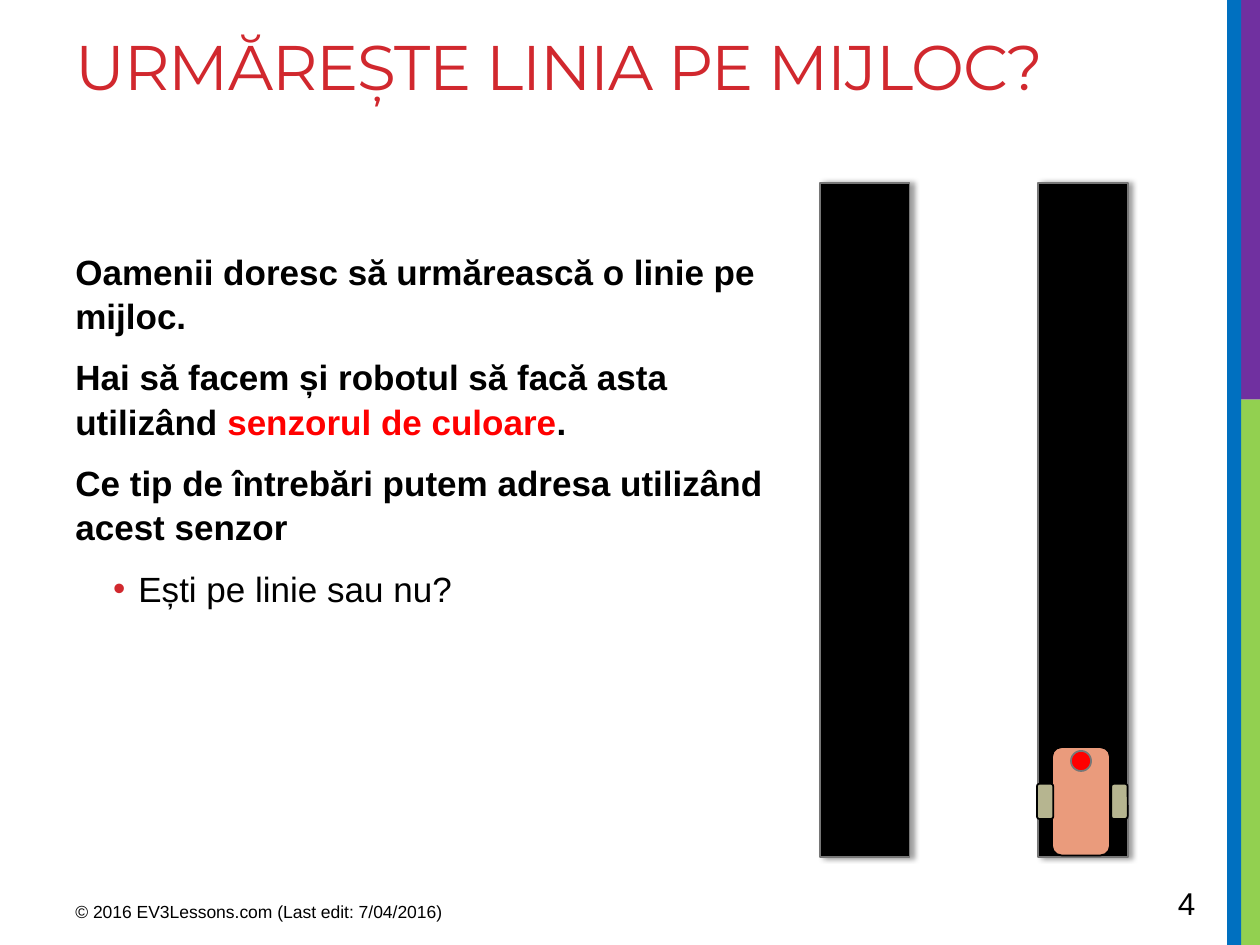
from dataclasses import dataclass
from typing import Optional

from lxml.etree import SubElement
from pptx import Presentation
from pptx.dml.color import RGBColor as RGB
from pptx.enum.shapes import MSO_SHAPE as Shape
from pptx.enum.text import MSO_ANCHOR as Anchor, MSO_AUTO_SIZE as AutoSize, PP_ALIGN as Align
from pptx.oxml.ns import qn
from pptx.util import Inches, Pt


@dataclass(frozen=True)
class Theme:
    title_font: str = "Montserrat"
    body_font: str = "Arial"
    title_size: int = 36
    body_size: int = 20
    number_size: int = 18
    footer_size: int = 10
    accent: str = "D1282E"
    black: str = "000000"
    red: str = "FF0000"
    gray: str = "777777"
    blue: str = "0070C0"
    green: str = "92D050"
    purple: str = "7030A0"
    robot: str = "EA9B7C"
    wheel: str = "B6B590"


THEME = Theme()


@dataclass(frozen=True)
class Block:
    left: float
    top: float
    width: float
    height: float
    fill: str
    line: Optional[str] = None
    kind: Shape = Shape.RECTANGLE
    shadow: bool = False


@dataclass(frozen=True)
class Run:
    text: str
    color: str = THEME.black
    bold: bool = True


@dataclass(frozen=True)
class Para:
    runs: tuple
    bullet: bool = False


EDGE_STRIPES = [
    Block(9.74, 0, 0.1, 7.5, THEME.blue),
    Block(9.84, 3.17, 0.16, 4.33, THEME.green),
    Block(9.8, 0, 0.2, 3.17, THEME.purple),
    Block(9.75, 0, 0.1, 7.5, THEME.blue),
]
TRACKS = [Block(x, 1.45, 0.71, 5.35, THEME.black, THEME.gray, shadow=True)
          for x in (6.51, 8.24)]
WHEELS = [Block(x, 6.22, 0.13, 0.28, THEME.wheel, THEME.black, Shape.ROUNDED_RECTANGLE)
          for x in (8.82, 8.23)]
ROBOT = [
    Block(8.35, 5.93, 0.46, 0.86, THEME.robot, THEME.black, Shape.ROUNDED_RECTANGLE),
    *WHEELS,
    Block(8.5, 5.96, 0.16, 0.16, THEME.red, THEME.gray, Shape.OVAL),
]
BODY = [
    Para((Run("Oamenii doresc să urmărească o linie pe mijloc."),)),
    Para((Run("Hai să facem și robotul să facă asta utilizând "),
          Run("senzorul de culoare", THEME.red), Run("."))),
    Para((Run("Ce tip de întrebări putem adresa utilizând acest senzor"),)),
    Para((Run("Ești pe linie sau nu?", bold=False),), bullet=True),
]


def set_all(obj, values: dict) -> None:
    for name, value in values.items():
        setattr(obj, name, value)


def place(sp, left: float, top: float, width: float, height: float) -> None:
    set_all(sp, {"left": Inches(left), "top": Inches(top),
                 "width": Inches(width), "height": Inches(height)})


def set_font(r, name: str, size: float, color: str, bold: bool = False) -> None:
    set_all(r.font, {"name": name, "size": Pt(size), "bold": bold})
    r.font.color.rgb = RGB.from_string(color)


def add_shadow(sp) -> None:
    """Give the shape a soft shadow cast to the right."""
    effects = sp._element.spPr.find(qn("a:effectLst"))
    outer = SubElement(effects, qn("a:outerShdw"), blurRad=str(Pt(3.1)),
                       dist=str(Pt(1.8)), dir="0", algn="ctr", rotWithShape="0")
    color = SubElement(outer, qn("a:srgbClr"), val=THEME.black)
    SubElement(color, qn("a:alpha"), val="40000")


def add_block(shapes, b: Block) -> None:
    sp = shapes.add_shape(b.kind, Inches(b.left), Inches(b.top),
                          Inches(b.width), Inches(b.height))
    sp.shadow.inherit = False
    sp.fill.solid()
    sp.fill.fore_color.rgb = RGB.from_string(b.fill)
    if b.line:
        sp.line.color.rgb = RGB.from_string(b.line)
        sp.line.width = Pt(1)
    else:
        sp.line.fill.background()
    if b.shadow:
        add_shadow(sp)


def add_text_box(slide, left: float, top: float, width: float, height: float):
    sp = slide.shapes.add_textbox(Inches(left), Inches(top), Inches(width), Inches(height))
    sp.text_frame.word_wrap = True
    return sp.text_frame


def add_label(slide, text: str, size: float, *box: float) -> None:
    r = add_text_box(slide, *box).paragraphs[0].add_run()
    r.text = text
    set_font(r, THEME.body_font, size, THEME.black)


def add_bullet(p) -> None:
    pPr = p._p.get_or_add_pPr()
    set_indent = {"marL": Inches(0.5), "indent": Inches(-0.2), "lvl": 1}
    for name, value in set_indent.items():
        pPr.set(name, str(value))
    color = SubElement(pPr, qn("a:buClr"))
    SubElement(color, qn("a:srgbClr"), val=THEME.accent)
    SubElement(pPr, qn("a:buFont"), typeface=THEME.body_font)
    SubElement(pPr, qn("a:buChar"), char="•")


def add_title(slide, text: str) -> None:
    sp = slide.shapes.title
    place(sp, 0.5, 0.17, 9.02, 1.5)
    tf = sp.text_frame
    set_all(tf, {"word_wrap": True, "vertical_anchor": Anchor.TOP,
                 "auto_size": AutoSize.NONE})
    p = tf.paragraphs[0]
    p.alignment = Align.LEFT
    r = p.add_run()
    r.text = text
    set_font(r, THEME.title_font, THEME.title_size, THEME.accent)
    r.font._element.set("spc", "-60")


def add_body(slide, paras: list) -> None:
    tf = add_text_box(slide, 0.5, 1.92, 5.7, 4.78)
    for i, para in enumerate(paras):
        p = tf.add_paragraph() if i else tf.paragraphs[0]
        set_all(p, {"space_before": Pt(4 if i else 0), "line_spacing": 1.05,
                    "space_after": Pt(0 if para.bullet else 6)})
        if para.bullet:
            add_bullet(p)
        for run in para.runs:
            r = p.add_run()
            r.text = run.text
            set_font(r, THEME.body_font, THEME.body_size, run.color, run.bold)


def main() -> None:
    prs = Presentation()
    set_all(prs, {"slide_width": Inches(10), "slide_height": Inches(7.5)})
    slide = prs.slides.add_slide(prs.slide_layouts[5])
    for stripe in EDGE_STRIPES:
        add_block(slide.shapes, stripe)
    add_title(slide, "URMĂREȘTE LINIA PE MIJLOC?")
    add_body(slide, BODY)
    add_label(slide, "© 2016 EV3Lessons.com (Last edit: 7/04/2016)",
              THEME.footer_size, 0.5, 7.1, 3.75, 0.31)
    add_label(slide, "4", THEME.number_size, 9.25, 6.97, 0.69, 0.4)
    for track in TRACKS:
        add_block(slide.shapes, track)
    robot = slide.shapes.add_group_shape()
    for part in ROBOT:
        add_block(robot.shapes, part)
    prs.save("out.pptx")


if __name__ == "__main__":
    main()
